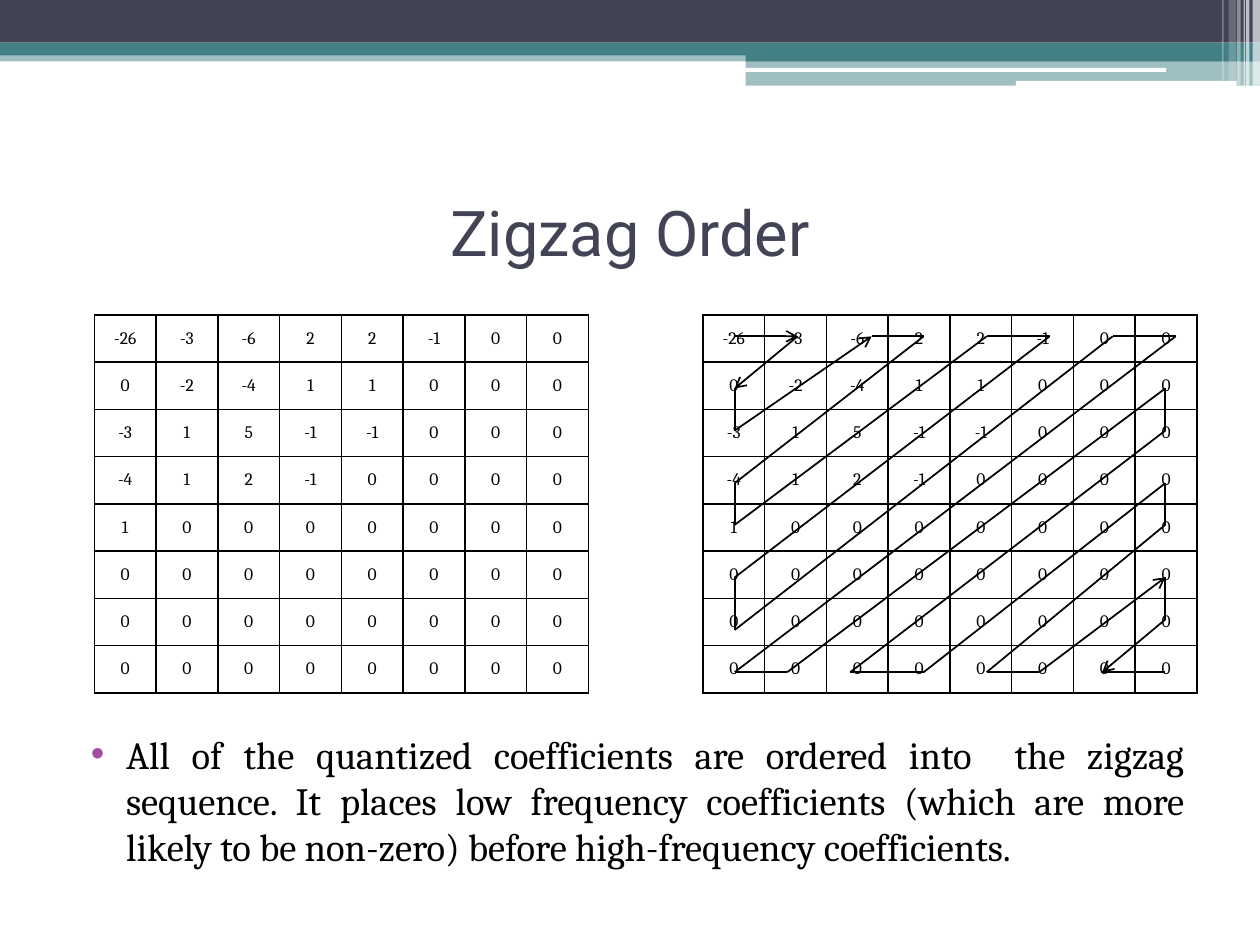
from itertools import pairwise

from lxml.etree import SubElement
from pptx import Presentation
from pptx.dml.color import RGBColor
from pptx.enum.shapes import MSO_CONNECTOR, MSO_SHAPE
from pptx.enum.text import MSO_ANCHOR as Anchor, PP_ALIGN as Align
from pptx.oxml.ns import qn
from pptx.util import Cm, Pt

COLORS = {"navy": "424456", "teal": "438086", "white": "FFFFFF",
          "black": "000000", "bullet": "A04DA3"}
SERIF, SANS = "Cambria", "Roboto"

# Nonzero coefficients at the start of each row; the rest are zeros
GRID_SIZE = 8
COEFFICIENTS = [[-26, -3, -6, 2, 2, -1], [0, -2, -4, 1, 1], [-3, 1, 5, -1, -1],
                [-4, 1, 2, -1], [1], [], [], []]

# Corners of the zigzag in cm from the grid's top left, in scan order
ZIGZAG = [(0.64, 0.43), (1.91, 0.43), (0.64, 1.48), (0.64, 2.33),
          (3.4, 0.43), (4.45, 0.43), (0.64, 3.39), (0.64, 4.23),
          (5.72, 0.43), (6.99, 0.43), (0.64, 5.29), (0.64, 6.35),
          (8.26, 0.43), (9.53, 0.43), (0.64, 7.2), (1.7, 7.2),
          (9.32, 1.48), (9.32, 2.33), (2.97, 7.2), (4.45, 7.2),
          (9.32, 3.39), (9.32, 4.23), (5.72, 7.2), (6.78, 7.2),
          (9.32, 5.29), (9.32, 6.14), (8.05, 7.2), (9.32, 7.2)]
ARROW_STEPS = {0, 1, 3, 23, 25}

BODY = ("All of the quantized coefficients are ordered into  the zigzag sequence. "
        "It places low frequency coefficients (which are more likely to be non-zero) "
        "before high-frequency coefficients.")


def rgb(name):
    return RGBColor.from_string(COLORS[name])


def write(tf, text, size, font=SERIF, color="black", align=Align.CENTER,
          anchor=Anchor.MIDDLE):
    tf.word_wrap = True
    tf.vertical_anchor = anchor
    p = tf.paragraphs[0]
    p.alignment = align
    r = p.add_run()
    r.text = text
    r.font.size, r.font.name = Pt(size), font
    r.font.color.rgb = rgb(color)
    return p


def place(sp, x, y, w, h):
    sp.left, sp.top, sp.width, sp.height = Cm(x), Cm(y), Cm(w), Cm(h)


def add_bar(s, x, y, w, h, color, opacity=100, kind=MSO_SHAPE.RECTANGLE):
    sp = s.shapes.add_shape(kind, Cm(x), Cm(y), Cm(w), Cm(h))
    sp.shadow.inherit = False
    sp.fill.solid()
    sp.fill.fore_color.rgb = rgb(color)
    sp.line.fill.background()
    if opacity < 100:
        clr = sp.fill._xPr.find(".//" + qn("a:srgbClr"))
        SubElement(clr, qn("a:alpha"), val=str(opacity * 1000))


def add_header(s, x, y, w):
    # Full-width bands
    add_bar(s, x, y + 1.01, w, 0.23, "teal", 50)
    add_bar(s, x, y, w, 0.86, "navy")
    add_bar(s, x, y + 0.86, w, 0.26, "teal")
    # Right-hand step with white rules
    step = x + 15.03
    add_bar(s, step, y + 0.99, x + w - step, 0.25, "teal")
    add_bar(s, step, y + 1.23, x + w - step, 0.5, "teal", 50)
    for left, top, width, height in [(15.01, 1.37, 8.5, 0.08), (20.48, 1.63, 4.45, 0.1)]:
        add_bar(s, x + left, y + top, width, height, "white",
                kind=MSO_SHAPE.ROUNDED_RECTANGLE)
    # Translucent stripes: distance from right edge, width, height, opacity
    for back, width, height, opacity in [
            (0.15, 0.15, 1.73, 65), (0.28, 0.07, 1.73, 65), (0.33, 0.03, 1.73, 60),
            (0.46, 0.07, 1.73, 40), (0.63, 0.15, 1.63, 20), (0.76, 0.03, 1.63, 30)]:
        add_bar(s, x + w - back, y, width, height, "white", opacity)


def add_title(s, x, y, w, h):
    place(s.shapes.title, x, y, w, h)
    write(s.shapes.title.text_frame, "Zigzag Order", 36, SANS, "navy")


def add_body(s, x, y, w, h):
    sp = s.placeholders[1]
    place(sp, x, y, w, h)
    p = write(sp.text_frame, BODY, 22, align=Align.JUSTIFY, anchor=Anchor.TOP)
    p.space_before = Pt(3)
    pPr = p._p.get_or_add_pPr()
    pPr.set("marL", str(Cm(1.02)))
    pPr.set("indent", str(Cm(-0.71)))
    SubElement(SubElement(pPr, qn("a:buClr")), qn("a:srgbClr"), val=COLORS["bullet"])
    SubElement(pPr, qn("a:buFont"), typeface="Arial")
    SubElement(pPr, qn("a:buChar"), char="•")


def set_borders(cell):
    tcPr = cell._tc.get_or_add_tcPr()
    for i, side in enumerate(("lnL", "lnR", "lnT", "lnB")):
        ln = tcPr.makeelement(qn("a:" + side), w=str(Pt(1)))
        tcPr.insert(i, ln)
        SubElement(SubElement(ln, qn("a:solidFill")), qn("a:srgbClr"),
                   val=COLORS["black"])


def add_grid(s, x, y, w, h):
    tbl = s.shapes.add_table(GRID_SIZE, GRID_SIZE, Cm(x), Cm(y), Cm(w), Cm(h)).table
    tbl.first_row = tbl.horz_banding = False
    for i, values in enumerate(COEFFICIENTS):
        row = values + [0] * (GRID_SIZE - len(values))
        for j, value in enumerate(row):
            cell = tbl.cell(i, j)
            cell.margin_left = cell.margin_right = 0
            cell.margin_top = cell.margin_bottom = 0
            cell.fill.background()
            set_borders(cell)
            write(cell.text_frame, str(value), 10)
            cell.vertical_anchor = Anchor.MIDDLE


def add_zigzag(s, x, y):
    for step, ((x1, y1), (x2, y2)) in enumerate(pairwise(ZIGZAG)):
        line = s.shapes.add_connector(MSO_CONNECTOR.STRAIGHT, Cm(x + x1), Cm(y + y1),
                                      Cm(x + x2), Cm(y + y2))
        line.line.color.rgb = rgb("black")
        line.line.width = Pt(1)
        if step in ARROW_STEPS:
            SubElement(line.line._get_or_add_ln(), qn("a:tailEnd"), type="arrow")
        SubElement(line._element.spPr, qn("a:effectLst"))


def main():
    prs = Presentation()
    prs.slide_width, prs.slide_height = Cm(25.4), Cm(19.05)
    s = prs.slides.add_slide(prs.slide_layouts[1])
    add_header(s, 0, 0, 25.4)
    add_title(s, 1.27, 3.18, 22.86, 2.97)
    add_body(s, 1.27, 14.6, 22.86, 4)
    # Coefficient grids, the right one with the scan order on top
    for x in (1.9, 14.17):
        add_grid(s, x, 6.35, 9.96, 7.62)
    add_zigzag(s, 14.17, 6.35)
    prs.save("out.pptx")


if __name__ == "__main__":
    main()
